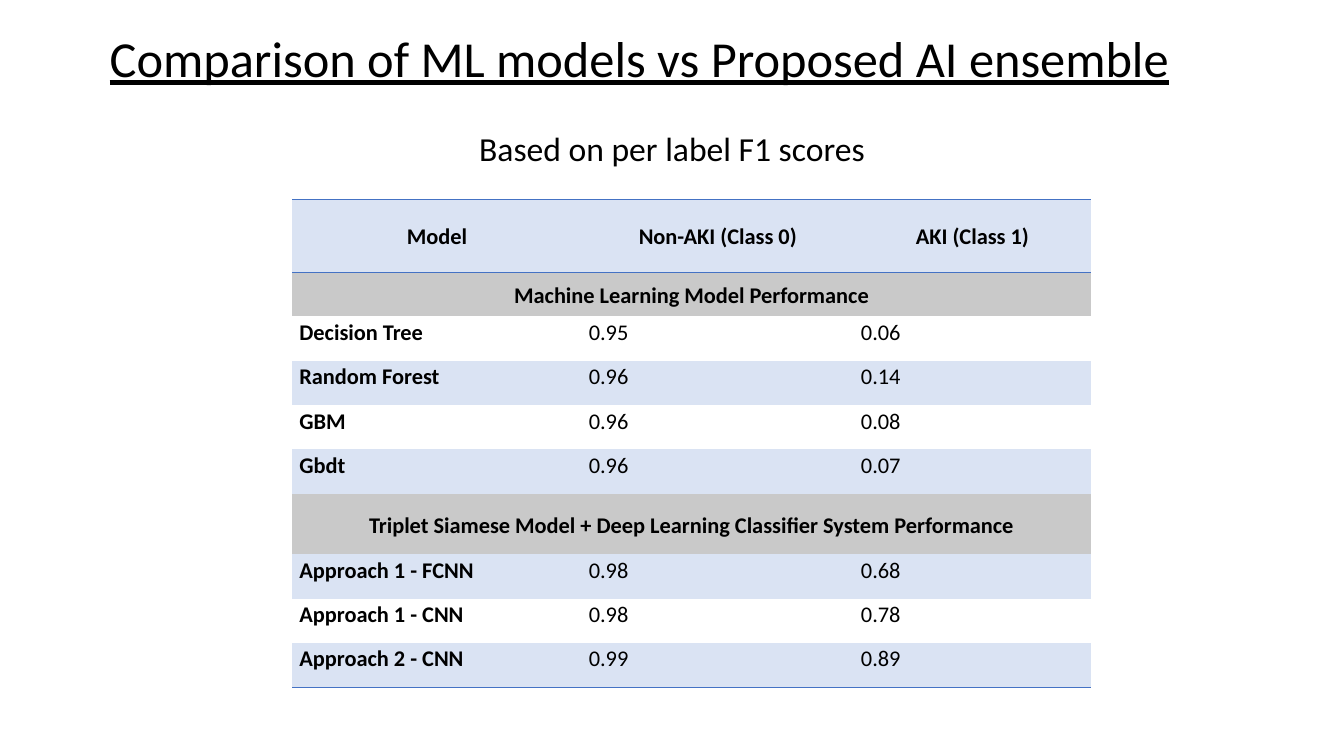
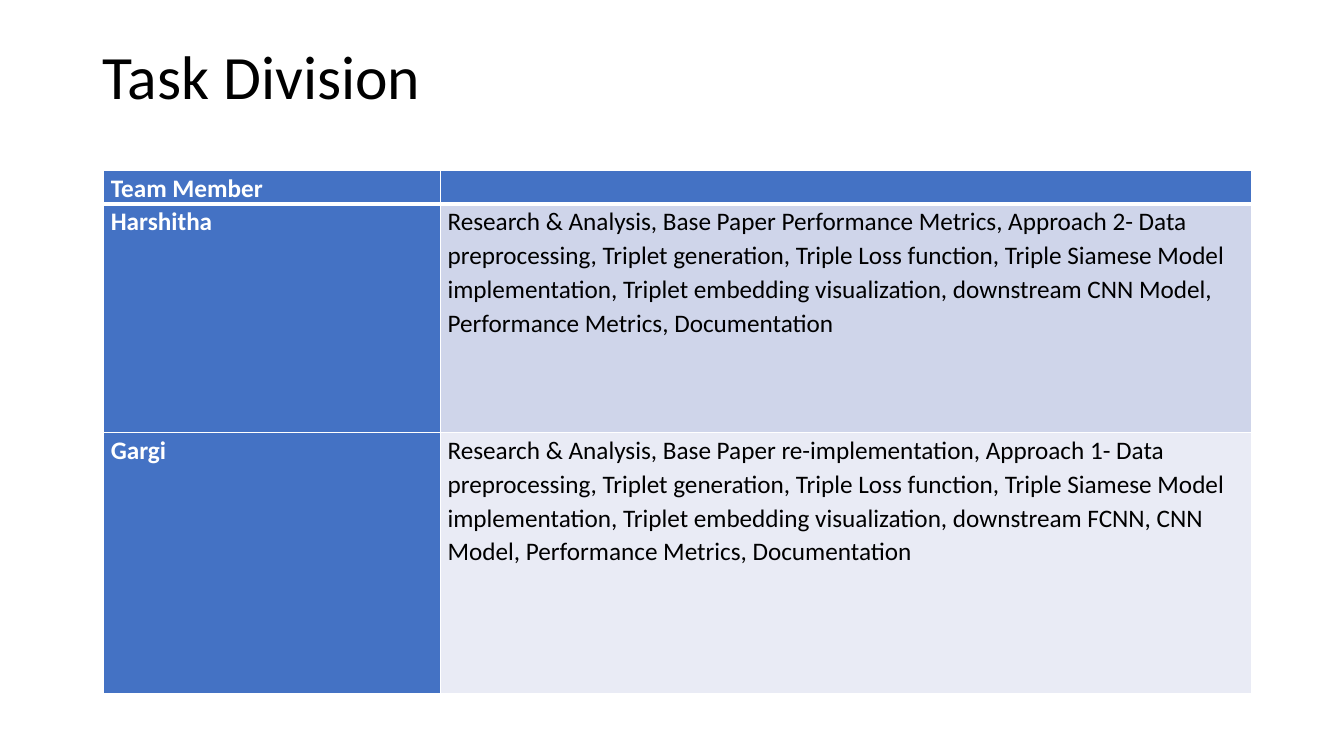
from pptx import Presentation
from pptx.dml.color import RGBColor
from pptx.enum.text import MSO_ANCHOR, PP_ALIGN
from pptx.oxml import parse_xml
from pptx.oxml.ns import nsdecls
from pptx.util import Inches, Pt

BLACK = RGBColor(0x00, 0x00, 0x00)
WHITE = RGBColor(0xFF, 0xFF, 0xFF)
BLUE = RGBColor(0x44, 0x72, 0xC4)
PALE_BLUE = RGBColor(0xDA, 0xE3, 0xF3)
GREY = RGBColor(0xC9, 0xC9, 0xC9)
BAND_DARK = RGBColor(0xCF, 0xD5, 0xEA)
BAND_LIGHT = RGBColor(0xE9, 0xEB, 0xF5)
FONT = "Calibri"
NO_STYLE = "{2D5ABB26-0587-4C30-8999-92F81FD0307C}"

HEADER = ("Model", "Non-AKI (Class 0)", "AKI (Class 1)")
SCORES = [
    ("Machine Learning Model Performance",),
    ("Decision Tree", "0.95", "0.06"),
    ("Random Forest", "0.96", "0.14"),
    ("GBM", "0.96", "0.08"),
    ("Gbdt", "0.96", "0.07"),
    ("Triplet Siamese Model + Deep Learning Classifier System Performance",),
    ("Approach 1 - FCNN", "0.98", "0.68"),
    ("Approach 1 - CNN", "0.98", "0.78"),
    ("Approach 2 - CNN", "0.99", "0.89"),
]
SCORE_COLS = (2.87, 2.7, 2.35)
SCORE_ROWS = (0.72, 0.44, 0.44, 0.44, 0.44, 0.44, 0.6, 0.44, 0.44, 0.44)

TASKS = [
    ("Team Member", ""),
    ("Harshitha",
     "Research & Analysis, Base Paper Performance Metrics, Approach 2- Data "
     "preprocessing, Triplet generation, Triple Loss function, Triple Siamese Model "
     "implementation, Triplet embedding visualization, downstream CNN Model, "
     "Performance Metrics, Documentation"),
    ("Gargi",
     "Research & Analysis, Base Paper re-implementation, Approach 1- Data "
     "preprocessing, Triplet generation, Triple Loss function, Triple Siamese Model "
     "implementation, Triplet embedding visualization, downstream FCNN, CNN Model, "
     "Performance Metrics, Documentation"),
]
TASK_COLS = (3.34, 8.04)
TASK_ROWS = (0.32, 2.27, 2.59)
TASK_FILLS = (BLUE, BAND_DARK, BAND_LIGHT)


def write(tf, text, size, color=BLACK, bold=False, underline=False,
          align=PP_ALIGN.LEFT, spacing=1.0, after=0):
    p = tf.paragraphs[0]
    p.alignment = align
    p.line_spacing = spacing
    p.space_after = Pt(after)
    if not text:
        p.font.size = Pt(size)
        return
    r = p.add_run()
    r.text = text
    r.font.name = FONT
    r.font.size = Pt(size)
    r.font.bold = bold
    r.font.underline = underline
    r.font.color.rgb = color


def add_text(s, box, text, size, anchor=MSO_ANCHOR.TOP, **style):
    tf = s.shapes.add_textbox(*map(Inches, box)).text_frame
    tf.word_wrap = True
    tf.vertical_anchor = anchor
    write(tf, text, size, **style)


def add_title(s, box, text, size, underline=False):
    add_text(s, box, text, size, MSO_ANCHOR.MIDDLE, underline=underline, spacing=0.9)


def add_grid(s, left, top, cols, rows):
    frame = s.shapes.add_table(len(rows), len(cols), Inches(left), Inches(top),
                               Inches(sum(cols)), Inches(sum(rows)))
    table = frame.table
    table.horz_banding = False
    table._tbl.tblPr[0].text = NO_STYLE
    for col, width in zip(table.columns, cols):
        col.width = Inches(width)
    for row, height in zip(table.rows, rows):
        row.height = Inches(height)
    return table


def fill_cell(cell, text, size, fill=None, borders=None, anchor=MSO_ANCHOR.TOP, **style):
    cell.margin_left = cell.margin_right = Inches(0.07)
    cell.margin_top = cell.margin_bottom = 0
    cell.vertical_anchor = anchor
    tcPr = cell._tc.get_or_add_tcPr()
    for side in "LRTB":
        if borders and side in borders:
            color, width = borders[side]
            tcPr.append(parse_xml(
                f'<a:ln{side} {nsdecls("a")} w="{Pt(width)}"><a:solidFill>'
                f'<a:srgbClr val="{color}"/></a:solidFill></a:ln{side}>'))
    if fill is None:
        cell.fill.background()
    else:
        cell.fill.solid()
        cell.fill.fore_color.rgb = fill
    write(cell.text_frame, text, size, spacing=1.1, **style)


def score_slide(s):
    add_title(s, (0.99, 0.1, 11.5, 1.02),
              "Comparison of ML models vs Proposed AI ensemble", 36, underline=True)
    add_text(s, (1.81, 1.22, 9.71, 0.5), "Based on per label F1 scores", 24,
             align=PP_ALIGN.CENTER)
    table = add_grid(s, 2.9, 1.98, SCORE_COLS, SCORE_ROWS)
    rule = (BLUE, 1)
    centred = dict(bold=True, anchor=MSO_ANCHOR.MIDDLE, align=PP_ALIGN.CENTER, after=6)
    for c, text in enumerate(HEADER):
        fill_cell(table.cell(0, c), text, 16, PALE_BLUE, {"T": rule, "B": rule}, **centred)
    for i, values in enumerate(SCORES, 1):
        if len(values) == 1:
            table.cell(i, 0).merge(table.cell(i, len(SCORE_COLS) - 1))
            fill_cell(table.cell(i, 0), values[0], 16, GREY, **centred)
            continue
        fill = PALE_BLUE if i % 2 else None
        borders = {"B": rule} if i == len(SCORES) else None
        for c, text in enumerate(values):
            fill_cell(table.cell(i, c), text, 16, fill, borders, bold=c == 0,
                      align=PP_ALIGN.JUSTIFY, after=6)


def task_slide(s):
    add_title(s, (0.92, 0.4, 11.5, 0.77), "Task Division", 44)
    table = add_grid(s, 1.03, 1.69, TASK_COLS, TASK_ROWS)
    for i, values in enumerate(TASKS):
        borders = dict.fromkeys("LRTB", (WHITE, 1))
        if i < 2:
            borders["B" if i == 0 else "T"] = (WHITE, 3)
        for c, text in enumerate(values):
            label = c == 0
            fill_cell(table.cell(i, c), text, 18, BLUE if label else TASK_FILLS[i], borders,
                      color=WHITE if label else BLACK, bold=label,
                      align=PP_ALIGN.JUSTIFY if label and i else PP_ALIGN.LEFT)


def main():
    prs = Presentation()
    prs.slide_width, prs.slide_height = Inches(13.33), Inches(7.5)
    for build in (score_slide, task_slide):
        build(prs.slides.add_slide(prs.slide_layouts[6]))
    prs.save("out.pptx")


if __name__ == "__main__":
    main()
